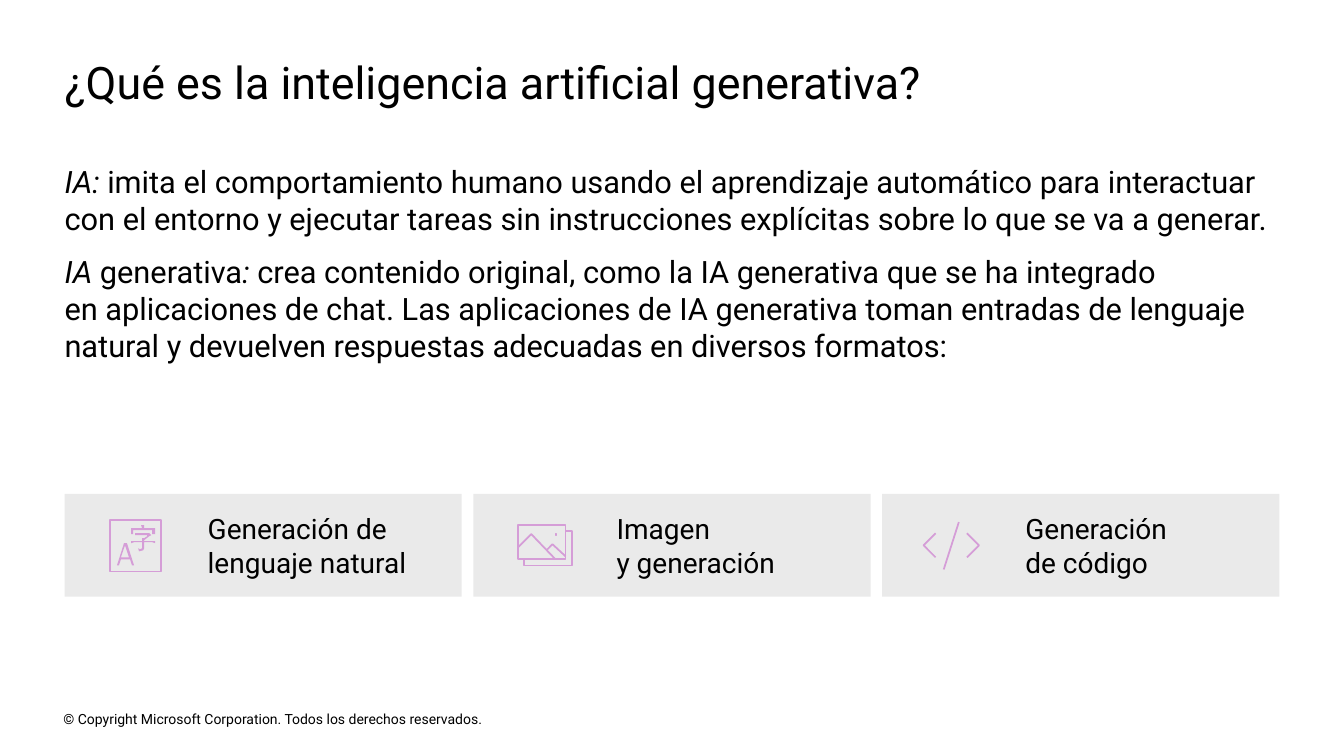
from pptx import Presentation
from pptx.dml.color import RGBColor
from pptx.enum.shapes import MSO_SHAPE
from pptx.enum.text import MSO_ANCHOR, PP_ALIGN
from pptx.util import Inches, Pt

RECT = MSO_SHAPE.RECTANGLE
TOP, MIDDLE = MSO_ANCHOR.TOP, MSO_ANCHOR.MIDDLE
LEFT = PP_ALIGN.LEFT
COLORS = {"ink": "000000", "card": "EAEAEA", "icon": "D59DD7"}
SIDES = ("left", "top", "right", "bottom")

TITLE = "¿Qué es la inteligencia artificial generativa?"
RIGHTS = "© Copyright Microsoft Corporation. Todos los derechos reservados."
BODY = [
    [("IA: ", True),
     ("imita el comportamiento humano usando el aprendizaje automático para "
      "interactuar con el entorno y ejecutar tareas sin instrucciones "
      "explícitas sobre lo que se va a generar.", False)],
    [("IA", True), (" generativa", False), (":", True),
     (" crea contenido original, como la IA generativa que se ha integrado\n"
      "en aplicaciones de chat. Las aplicaciones de IA generativa toman "
      "entradas de lenguaje natural y devuelven respuestas adecuadas en "
      "diversos formatos:", False)],
]
CARDS = ["Generación de lenguaje natural", "Imagen\ny generación",
         "Generación\nde código"]

CODE = [
    [(928, 553), (916, 541), (928, 529)],
    [(959, 553), (971, 541), (959, 529)],
    [(936, 565), (951, 518)],
]
PHOTO = [
    [(561, 555), (514, 555), (514, 521), (561, 521), (561, 555)],
    [(551, 530), (551, 531), (552, 531), (552, 530), (551, 530)],
    [(551, 555), (527, 530), (514, 543)],
    [(561, 552), (548, 540), (542, 546)],
    [(520, 555), (520, 561), (567, 561), (567, 527), (561, 527)],
]
GLYPHS = [
    [(123, 539), (116, 561), (118, 561), (120, 555), (129, 555),
     (131, 561), (133, 561), (126, 539), (123, 539)],
    [(120, 553), (124, 541), (128, 553), (120, 553)],
    [(130, 527), (130, 524), (141, 524), (140, 521), (143, 521),
     (143, 524), (154, 524), (154, 530), (151, 530), (151, 526),
     (132, 526), (132, 530), (130, 530), (130, 527)],
    [(143, 538), (143, 544), (142, 546), (138, 547), (137, 544),
     (139, 545), (141, 544), (141, 538), (133, 538), (130, 539),
     (130, 537), (141, 537), (141, 534), (143, 534), (146, 532),
     (146, 531), (134, 531), (134, 529), (148, 529), (150, 531),
     (148, 532), (143, 536), (143, 537), (154, 537), (154, 539),
     (151, 538), (143, 538)],
]


class Deck:
    def __init__(self, font):
        self.font = font
        self.show = Presentation()
        self.show.slide_width = Inches(13.33)
        self.show.slide_height = Inches(7.5)
        self.slide = self.show.slides.add_slide(self.show.slide_layouts[6])
        self.shapes = self.slide.shapes

    def apply(self, item, style):
        for name, value in style.items():
            setattr(item, name, value)

    def tint(self, name):
        return RGBColor.from_string(COLORS[name])

    def paint(self, shape, fill=None, line=None):
        shape.shadow.inherit = False
        if fill:
            shape.fill.solid()
            shape.fill.fore_color.rgb = self.tint(fill)
        else:
            shape.fill.background()
        if line:
            shape.line.color.rgb = self.tint(line)
            shape.line.width = Pt(1.25)
        else:
            shape.line.fill.background()

    def label(self, shape, paras, size, anchor, pads=(0, 0, 0, 0)):
        frame = shape.text_frame
        style = {"word_wrap": True, "vertical_anchor": anchor}
        for side, pad in zip(SIDES, pads):
            style["margin_" + side] = Inches(pad)
        self.apply(frame, style)
        for i, runs in enumerate(paras):
            para = frame.add_paragraph() if i else frame.paragraphs[0]
            self.apply(para, {"alignment": LEFT, "space_before": Pt(12 if i else 0)})
            for text, slant in runs:
                for j, part in enumerate(text.split("\n")):
                    if j:
                        para.add_line_break()
                    run = para.add_run()
                    run.text = part
                    self.apply(run.font, {"name": self.font, "size": Pt(size),
                                          "italic": slant})
                    run.font.color.rgb = self.tint("ink")

    def text(self, box, paras, size, anchor=MIDDLE):
        shape = self.shapes.add_textbox(*map(Inches, box))
        self.label(shape, paras, size, anchor)

    def rect(self, box, fill=None, line=None):
        shape = self.shapes.add_shape(RECT, *map(Inches, box))
        self.paint(shape, fill, line)
        return shape

    def card(self, box, words):
        shape = self.rect(box, fill="card")
        self.label(shape, [[(words, False)]], 20, MIDDLE, (1.42, 0.16, 0.2, 0.16))

    def icon(self, lines, fill=None, line=None):
        pen = self.shapes.build_freeform(*lines[0][0], scale=Inches(0.01))
        for i, points in enumerate(lines):
            if i:
                pen.move_to(*points[0])
            pen.add_line_segments(points[1:], close=False)
        self.paint(pen.convert_to_shape(), fill, line)


def main():
    deck = Deck("Roboto")
    left, wide, card = 0.64, 12.05, 3.94
    deck.text((0.63, 7.02, 4.54, 0.22), [[(RIGHTS, False)]], 10)
    deck.text((left, 0.5, wide, 0.61), [[(TITLE, False)]], 32)
    deck.text((left, 1.61, wide, 2.02), BODY, 22, TOP)
    step = (wide - card) / (len(CARDS) - 1)
    for i, words in enumerate(CARDS):
        deck.card((left + i * step, 4.9, card, 1.02), words)
    deck.icon(CODE, line="icon")
    deck.icon(PHOTO, line="icon")
    deck.icon(GLYPHS, fill="icon")
    deck.rect((1.09, 5.16, 0.51, 0.51), line="icon")
    deck.show.save("out.pptx")


if __name__ == "__main__":
    main()
